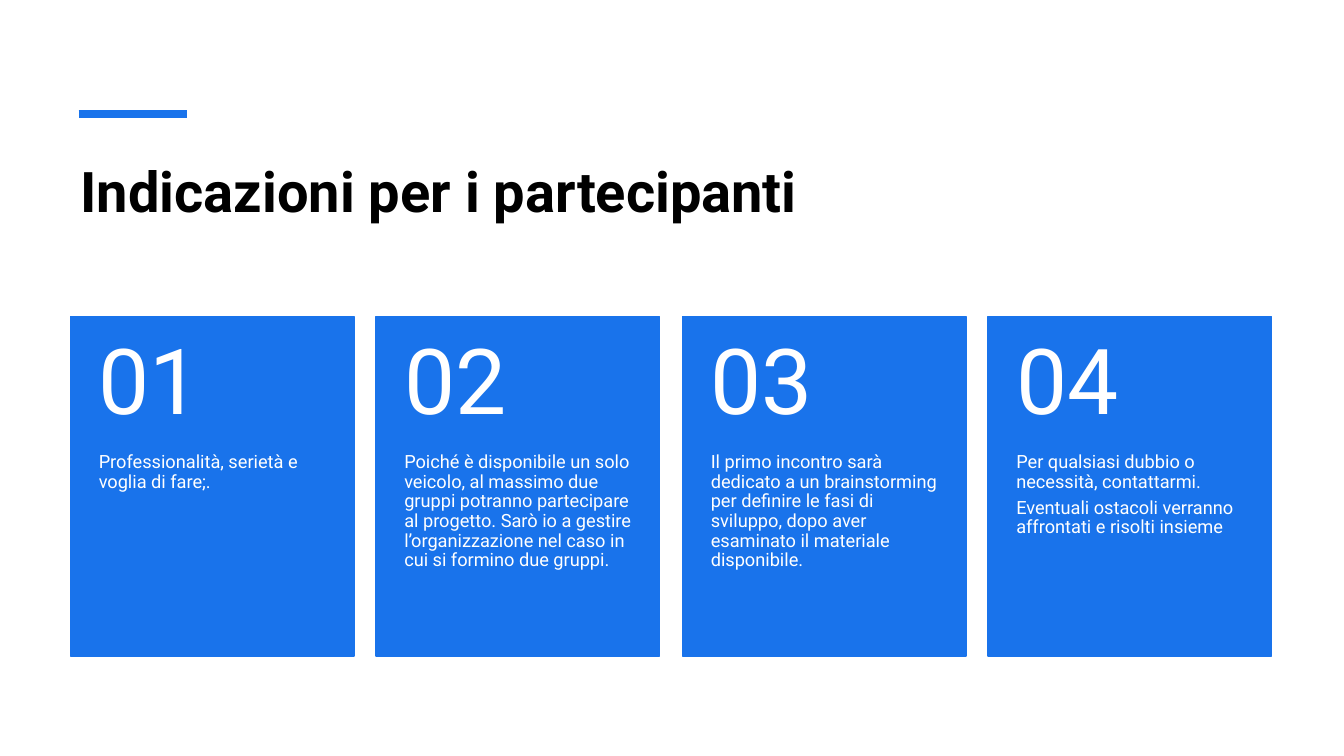
from lxml.etree import SubElement
from pptx import Presentation
from pptx.dml.color import RGBColor
from pptx.enum.shapes import MSO_CONNECTOR as CONNECTOR, MSO_SHAPE as SHAPE
from pptx.enum.text import MSO_ANCHOR as ANCHOR, MSO_AUTO_SIZE as AUTO_SIZE, PP_ALIGN as ALIGN
from pptx.oxml.ns import qn
from pptx.util import Emu, Pt

PX = 9144  # 100 px to the inch
COLORS = {"blue": "1973EB", "black": "000000", "white": "FFFFFF"}
FONT = "Roboto"

# Card grid
LEFT, RIGHT, TOP = 70, 1261, 314
CARD_W, CARD_H, NUMBER_H = 281, 337, 135
CARDS = [
    ["Professionalità, serietà e voglia di fare;."],
    ["Poiché è disponibile un solo veicolo, al massimo due gruppi potranno "
     "partecipare al progetto. Sarò io a gestire l’organizzazione nel caso in "
     "cui si formino due gruppi."],
    ["Il primo incontro sarà dedicato a un brainstorming per definire le fasi "
     "di sviluppo, dopo aver esaminato il materiale disponibile."],
    ["Per qualsiasi dubbio o necessità, contattarmi.",
     "Eventuali ostacoli verranno affrontati e risolti insieme"],
]


def px(*values):
    return [Emu(v * PX) for v in values]


def rgb(name):
    return RGBColor.from_string(COLORS[name])


class Deck:
    def __init__(self, width, height):
        self.prs = Presentation()
        self.prs.slide_width, self.prs.slide_height = px(width, height)
        self.s = self.prs.slides.add_slide(self.prs.slide_layouts[5])

    def style(self, p, size, color, bold=False):
        p.alignment = ALIGN.LEFT
        p.font.name, p.font.size, p.font.bold = FONT, Pt(size), bold
        p.font.color.rgb = rgb(color)

    def title(self, text, *box):
        sp = self.s.shapes.title
        sp.left, sp.top, sp.width, sp.height = px(*box)
        tf = sp.text_frame
        tf.text = text
        tf.auto_size = AUTO_SIZE.NONE
        tf.vertical_anchor = ANCHOR.TOP
        self.style(tf.paragraphs[0], 40, "black", True)

    def line(self, x1, y1, x2, y2, width):
        sp = self.s.shapes.add_connector(CONNECTOR.STRAIGHT, *px(x1, y1, x2, y2))
        sp.line.color.rgb = rgb("blue")
        sp.line.width = Pt(width)
        SubElement(sp._element.spPr, qn("a:effectLst"))

    def rect(self, shapes, *box):
        sp = shapes.add_shape(SHAPE.RECTANGLE, *px(*box))
        sp.shadow.inherit = False
        sp.fill.solid()
        sp.fill.fore_color.rgb = sp.line.color.rgb = rgb("blue")
        sp.line.width = Pt(1)

    def text(self, shapes, box, lines, size, insets, anchor=ANCHOR.TOP):
        tf = shapes.add_textbox(*px(*box)).text_frame
        tf.word_wrap = True
        tf.vertical_anchor = anchor
        tf.margin_left, tf.margin_top, tf.margin_right, tf.margin_bottom = px(*insets)
        tf.text = "\n".join(lines)
        for i, p in enumerate(tf.paragraphs):
            p.line_spacing = 0.9
            p.space_before = Pt(4.5 if i else 0)
            self.style(p, size, "white")

    def card(self, number, x, lines):
        shapes = self.s.shapes.add_group_shape().shapes
        self.rect(shapes, x, TOP, CARD_W, CARD_H)
        self.text(shapes, (x, TOP + NUMBER_H, CARD_W, CARD_H - NUMBER_H),
                  lines, 13, (28, 0, 28, 36))
        self.text(shapes, (x, TOP, CARD_W, NUMBER_H), [f"{number:02}"],
                  65, (28, 18, 28, 18), ANCHOR.MIDDLE)


def main():
    deck = Deck(1333, 750)

    # Heading
    deck.line(78, 113, 185, 113, 6)
    deck.title("Indicazioni per i partecipanti", 70, 150, 1191, 120)

    # Numbered cards, spread evenly between the margins
    step = (RIGHT - LEFT - CARD_W) / (len(CARDS) - 1)
    for i, lines in enumerate(CARDS):
        deck.card(i + 1, LEFT + round(i * step), lines)

    deck.prs.save("out.pptx")


if __name__ == "__main__":
    main()
